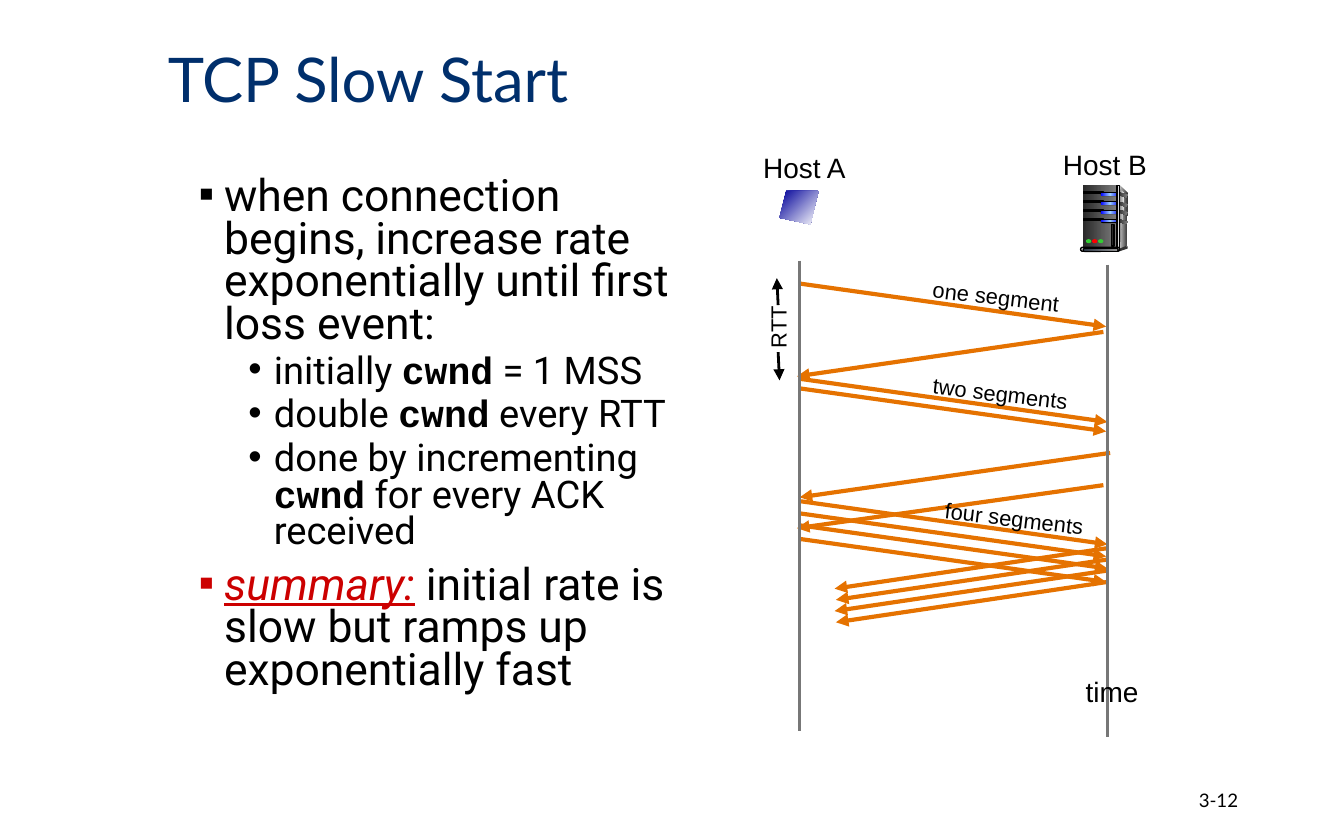
"""Build the TCP slow start slide: notes on the left, segment timeline on the right."""
from copy import deepcopy

from pptx import Presentation
from pptx.dml.color import RGBColor
from pptx.enum.shapes import MSO_CONNECTOR as Link, MSO_SHAPE as Shape
from pptx.enum.text import MSO_ANCHOR as Anchor, MSO_AUTO_SIZE as Fit, PP_ALIGN as Align
from pptx.oxml.ns import qn
from pptx.oxml.xmlchemy import OxmlElement as Element
from pptx.util import Inches, Pt


def paint(fill, *hexes, angle=0):
    if len(hexes) == 1:
        fill.solid()
        fill.fore_color.rgb = RGBColor.from_string(hexes[0])
        return
    fill.gradient()
    fill.gradient_angle = angle
    if len(hexes) == 3:
        first = fill._xPr.find(qn("a:gradFill")).find(qn("a:gsLst"))[0]
        first.addnext(deepcopy(first))
    for index, (stop, color) in enumerate(zip(fill.gradient_stops, hexes)):
        stop.position = index / (len(hexes) - 1)
        stop.color.rgb = RGBColor.from_string(color)


def write(para, text, size, name, color="000000", **styles):
    span = para.add_run()
    span.text = text
    paint(span.font.fill, color)
    for key, value in {"size": Pt(size), "name": name, **styles}.items():
        setattr(span.font, key, value)


deck = Presentation()
deck.slide_width, deck.slide_height = Inches(10), Inches(6.25)
col, row = deck.slide_width // 1000, deck.slide_height // 625
page = deck.slides.add_slide(deck.slide_layouts[6])

headings = [
    ("3-12", (706, 579, 225, 33), 10, "000000", Align.RIGHT, 1),
    ("TCP Slow Start", (115, 14, 708, 95), 33, "002F6C", Align.LEFT, 0.9),
]
for text, (left, top, width, height), size, color, align, spacing in headings:
    box = page.shapes.add_textbox(left * col, top * row, width * col, height * row)
    box.text_frame.word_wrap = True
    box.text_frame.vertical_anchor = Anchor.MIDDLE
    para = box.text_frame.paragraphs[0]
    para.alignment, para.line_spacing = align, spacing
    write(para, text, size, "Lato", color)

plain = {"name": "Roboto"}
code = {"name": "Courier New", "bold": True}
alert = {"name": "Roboto", "color": "CC0000", "italic": True, "underline": True}
notes = [
    (0, [("when connection begins, increase rate exponentially until first loss event:", plain)]),
    (1, [("initially ", plain), ("cwnd", code), (" = 1 MSS", plain)]),
    (1, [("double ", plain), ("cwnd", code), (" every RTT", plain)]),
    (1, [("done by incrementing ", plain), ("cwnd", code), (" for every ACK received", plain)]),
    (0, [("summary:", alert), (" initial rate is slow but ramps up exponentially fast", plain)]),
]
levels = [("▪", 19, 23.8, 7.5), ("•", 56, 20.4, 3.8)]
box = page.shapes.add_textbox(138 * col, 127 * row, 387 * col, 424 * row)
box.text_frame.word_wrap = True
for index, (level, spans) in enumerate(notes):
    mark, indent, size, gap = levels[level]
    para = box.text_frame.add_paragraph() if index else box.text_frame.paragraphs[0]
    para.level, para.line_spacing = level, 0.8
    if index:
        para.space_before = Pt(gap)
    props = para._p.get_or_add_pPr()
    props.set("marL", str(indent * col))
    props.set("indent", str(-19 * col))
    for tag, key, value in (("a:buFont", "typeface", "Arial"), ("a:buChar", "char", mark)):
        bullet = Element(tag)
        bullet.set(key, value)
        props.append(bullet)
    for text, style in spans:
        write(para, text, size, **style)

sent = [(595, 211), (596, 282), (595, 289), (596, 373), (595, 382), (596, 391), (595, 401)]
acks = [(593, 280, 228, 33), (595, 370, 231, 33), (593, 393, 228, 32)]
acks += [(622 - i % 2, 463 - 25 * i / 3, 202, 30) for i in range(4)]
lines = [(x, y, x + 228, y + 32, "E57200", 2.25, "a:tailEnd") for x, y in sent]
lines += [(x, y, x + run, y - rise, "E57200", 2.25, "a:headEnd") for x, y, run, rise in acks]
lines += [
    (595, 194, 595, 544, "777777", 1.5, None),
    (824, 197, 824, 548, "777777", 1.5, None),
    (579, 227, 578, 207, "000000", 1.5, "a:tailEnd"),
    (579, 262, 580, 283, "000000", 1.5, "a:tailEnd"),
]
for x1, y1, x2, y2, color, width, tip in lines:
    line = page.shapes.add_connector(
        Link.STRAIGHT, int(x1 * col), int(y1 * row), int(x2 * col), int(y2 * row))
    paint(line.line.fill, color)
    line.line.width = Pt(width)
    frame = line._element.spPr
    if tip:
        arrow = Element(tip)
        arrow.set("type", "triangle")
        frame.find(qn("a:ln")).append(arrow)
    frame.append(Element("a:effectLst"))

labels = [
    ("Host A", 558, 107, 82, 35, 0, 15),
    ("Host B", 781, 105, 83, 35, 0, 15),
    ("time", 798, 497, 60, 35, 0, 15),
    ("RTT", 553, 228, 52, 30, 270, 11.7),
    ("one segment", 684, 206, 115, 30, 6.8, 11.7),
    ("two segments", 684, 278, 121, 30, 6.8, 11.7),
    ("four segments", 693, 371, 124, 30, 6.8, 11.7),
]
for text, left, top, width, height, turn, size in labels:
    box = page.shapes.add_textbox(left * col, top * row, width * col, height * row)
    box.rotation = turn
    box.text_frame.word_wrap = False
    box.text_frame.auto_size = Fit.SHAPE_TO_FIT_TEXT
    write(box.text_frame.paragraphs[0], text, size, "Arial")

steel = ("292929", "808080")
glow = ("0000FF", "99CCFF", "0000FF")
slots = [143 + 20 * i / 3 for i in range(4)]
outlines = [
    ([(609, 142), (585, 142), (580, 162), (603, 167)], ("000099", "FFFFFF"), 315),
    ([(833, 138), (839, 144), (838, 183), (832, 185)], ("DDDDDD", "333333"), 0),
    ([(833, 141), (837, 144), (834, 172), (833, 185)], ("808080", "F8F8F8"), 0),
    ([(833, 185), (833, 187), (839, 185), (838, 183)], ("333333",), 0),
]
outlines += [([(832, y), (839, y + 2), (838, y + 4), (832, y + 2)], steel, 0) for y in slots]
for points, colors, angle in outlines:
    builder = page.shapes.build_freeform(*points[0], scale=col)
    builder.add_line_segments(points[1:], close=True)
    panel = builder.convert_to_shape()
    panel.shadow.inherit = False
    paint(panel.fill, *colors, angle=angle)
    panel.line.fill.background()

parts = [(Shape.RECTANGLE, 806, 138, 26, 48, steel, False)]
for y in slots:
    parts += [
        (Shape.RECTANGLE, 806, y, 15, 1, ("000000",), True),
        (Shape.ROUNDED_RECTANGLE, 819, y, 14, 3, ("000000",), False),
        (Shape.ROUNDED_RECTANGLE, 819, y + 0.5, 14, 2, glow, False),
    ]
parts += [
    (Shape.RECTANGLE, 831, 138, 2, 48, ("333333", "DDDDDD", "333333"), True),
    (Shape.OVAL, 838, 183, 1, 2, ("333333",), False),
    (Shape.ROUNDED_RECTANGLE, 804, 184, 29, 3, ("DDDDDD",), True),
    (Shape.ROUNDED_RECTANGLE, 806, 185, 26, 2, ("44546A", "E7E6E6"), True),
    (Shape.RECTANGLE, 827, 167, 2, 16, ("292929",), True),
]
lamps = ("33CC33", "FF0000", "33CC33")
parts += [(Shape.OVAL, 808 + 4.5 * i, 178, 4, 3, (lamp,), False) for i, lamp in enumerate(lamps)]
for kind, left, top, width, height, colors, edged in parts:
    part = page.shapes.add_shape(kind, int(left * col), int(top * row), width * col, height * row)
    part.shadow.inherit = False
    if kind == Shape.ROUNDED_RECTANGLE:
        part.adjustments[0] = 0.5
    paint(part.fill, *colors)
    if edged:
        paint(part.line.fill, "000000")
        part.line.width = Pt(0.75)
    else:
        part.line.fill.background()

deck.save("out.pptx")
